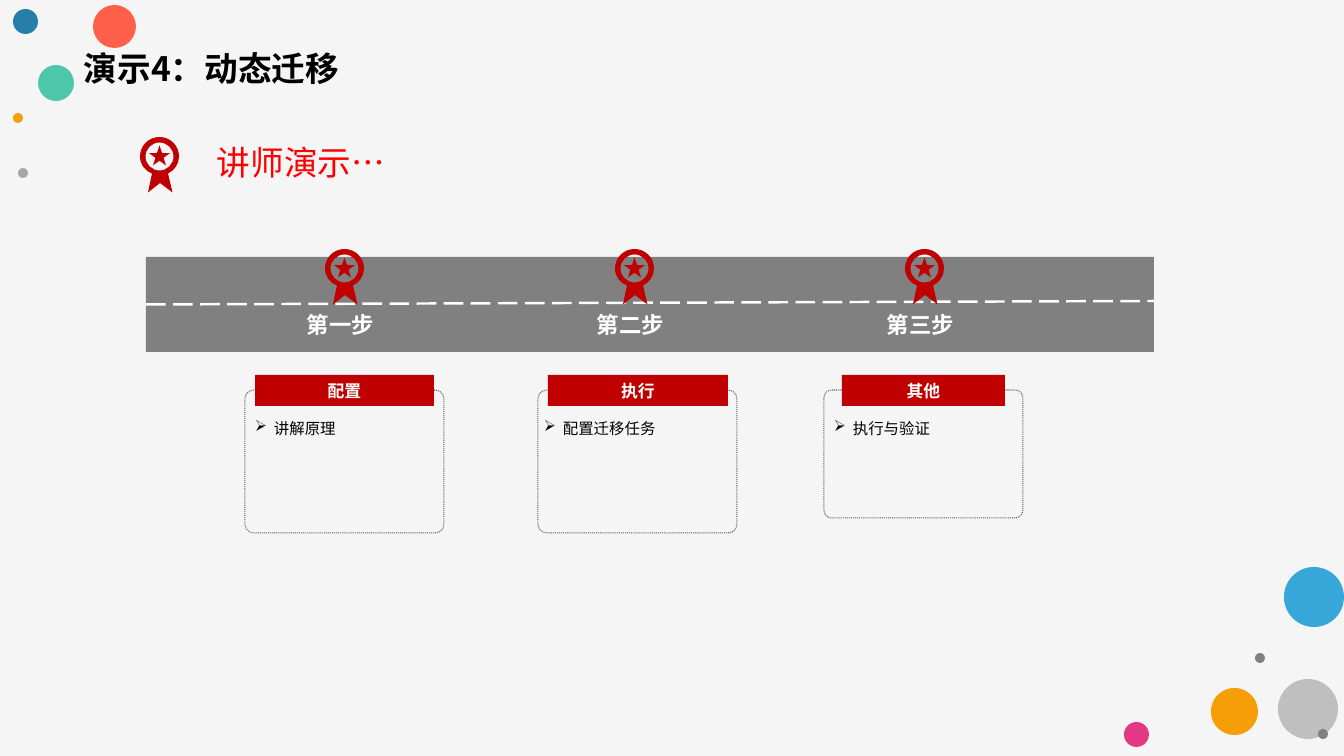
from math import cos, radians, sin

from lxml.etree import SubElement
from pptx import Presentation
from pptx.dml.color import RGBColor
from pptx.enum.dml import MSO_LINE as Dash
from pptx.enum.shapes import MSO_CONNECTOR as Connector, MSO_SHAPE as Shape
from pptx.enum.text import MSO_ANCHOR as Anchor, PP_ALIGN as Align
from pptx.oxml.ns import qn
from pptx.util import Emu, Pt

EMU_PER_PX = 914400 / 100.8
CJK_FONT = "Noto Sans CJK SC"
COLORS = {
    "page": "F5F5F5", "black": "000000", "white": "FFFFFF", "red": "FF0000",
    "crimson": "C00000", "road": "808080", "border": "595959",
    "green": "4CC7AA", "silver": "BFBFBF", "sky": "37A7D9", "coral": "FE604A",
    "orange": "F69E08", "pink": "E33884", "gray": "A6A6A6", "blue": "267FAB",
}
# left, top, diameter, colour
DOTS = [
    (38, 65, 36, "green"), (1278, 679, 60, "silver"), (1284, 567, 60, "sky"),
    (93, 5, 43, "coral"), (1211, 688, 47, "orange"), (1124, 722, 25, "pink"),
    (13, 113, 10, "orange"), (18, 168, 10, "gray"), (13, 9, 25, "blue"),
    (1318, 729, 10, "road"), (1255, 653, 10, "road"),
]
STEPS = ["第一步", "第二步", "第三步"]
STEP_GAP = 290
# heading, task, card left, card height, tab left, tab width, task left and width
CARDS = [
    ("配置", "讲解原理", 245, 143, 255, 179, 245, 216),
    ("执行", "配置迁移任务", 538, 143, 548, 180, 534, 199),
    ("其他", "执行与验证", 824, 128, 842, 163, 824, 230),
]
# Medal outline in px: one point is a straight side, three are a Bézier curve
RIM_START = (19.5, 0)
RIM = [
    [(30.3, 0), (39, 8.7), (39, 19.5)], [(39, 27), (34.5, 33.5), (28, 36.5)],
    [(32.5, 55.5)], [(20, 46)], [(8, 55.5)], [(12, 36.5)],
    [(5, 34), (0, 27.5), (0, 19.5)], [(0, 8.7), (8.7, 0), (19.5, 0)],
]


def px(length):
    return Emu(round(length * EMU_PER_PX))


def color(name):
    return RGBColor.from_string(COLORS[name])


def add_block(page, kind, left, top, width, height, fill=None):
    block = page.shapes.add_shape(kind, px(left), px(top), px(width), px(height))
    block.shadow.inherit = False
    block.line.fill.background()
    if fill:
        block.fill.solid()
        block.fill.fore_color.rgb = color(fill)
    else:
        block.fill.background()
    return block


def write(box, text, size, ink, bold=False, latin=CJK_FONT):
    box.text_frame.word_wrap = True
    para = box.text_frame.paragraphs[0]
    para.text = text
    font = para.font
    font.size, font.bold, font.name = Pt(size), bold, latin
    font.color.rgb = color(ink)
    defaults = para._p.pPr.find(qn("a:defRPr"))
    SubElement(defaults, qn("a:ea"), typeface=CJK_FONT)
    return para


def add_text(page, left, top, width, height, *style, **options):
    box = page.shapes.add_textbox(px(left), px(top), px(width), px(height))
    return write(box, *style, **options)


def add_bullet(para):
    para.line_spacing = 1.2
    props = para._p.get_or_add_pPr()
    props.set("marL", str(px(19)))
    props.set("indent", str(-px(19)))
    defaults = props.find(qn("a:defRPr"))
    defaults.addprevious(SubElement(props, qn("a:buFont"), typeface="OpenSymbol"))
    defaults.addprevious(SubElement(props, qn("a:buChar"), char="➢"))


def polar(center, radius, angle):
    return (center + radius * cos(radians(angle)),
            center + radius * sin(radians(angle)))


def star_contour(center, outer, inner):
    corners = [polar(center, inner if index % 2 else outer, 36 * index - 90)
               for index in range(10)]
    return corners[0], [[corner] for corner in corners[1:]]


def circle_contour(center, radius):
    reach = radius * 0.55
    curves = []
    for angle in range(0, 360, 90):
        c, s = cos(radians(angle)), sin(radians(angle))
        offsets = [(radius, reach), (reach, radius), (0, radius)]
        curves.append([(center + x * c - y * s, center + x * s + y * c)
                       for x, y in offsets])
    return (center + radius, center), curves


def add_medal(page, left, top):
    contours = [star_contour(19.5, 11, 4.3), circle_contour(19.5, 14),
                (RIM_START, RIM)]
    unit = 100  # freeform units per px
    builder = None
    for (x, y), segments in contours:
        if builder is None:
            builder = page.shapes.build_freeform(
                x * unit, y * unit, scale=EMU_PER_PX / unit)
        else:
            builder.move_to(x * unit, y * unit)
        builder.add_line_segments(
            [(x * unit, y * unit) for segment in segments for x, y in segment])
    medal = builder.convert_to_shape(px(left), px(top))

    # Merge the three points of each curve into one Bézier segment
    sides = iter(list(medal._element.iter(qn("a:lnTo"))))
    for _, segments in contours:
        for segment in segments:
            first, *others = [next(sides) for _ in segment]
            if others:
                first.tag = qn("a:cubicBezTo")
                for side in others:
                    first.append(side[0])
                    side.getparent().remove(side)

    medal.shadow.inherit = False
    medal.fill.solid()
    medal.fill.fore_color.rgb = color("crimson")
    medal.line.fill.background()


def add_road(page):
    road = add_block(page, Shape.RECTANGLE, 146, 257, 1008, 95, "road")
    lane = page.shapes.add_connector(
        Connector.STRAIGHT, px(146), px(304), px(1154), px(301))
    lane.begin_connect(road, 1)
    lane.line.color.rgb = color("white")
    lane.line.width = Pt(1.75)
    lane.line.dash_style = Dash.LONG_DASH
    SubElement(lane._element.spPr, qn("a:effectLst"))


def add_card(page, heading, task, left, height, tab_left, tab_width,
             task_left, task_width):
    card = add_block(page, Shape.ROUNDED_RECTANGLE, left, 390, 199, height)
    card.adjustments[0] = 0.06
    card.line.color.rgb = color("border")
    card.line.width = Pt(0.75)
    card.line.dash_style = Dash.ROUND_DOT

    tab = add_block(page, Shape.RECTANGLE, tab_left, 375, tab_width, 31, "crimson")
    tab.text_frame.vertical_anchor = Anchor.MIDDLE
    write(tab, heading, 12, "white", bold=True).alignment = Align.CENTER

    add_bullet(add_text(page, task_left, 410, task_width, 31, task, 11, "black"))


def main():
    deck = Presentation()
    deck.slide_width, deck.slide_height = px(1344), px(756)
    page = deck.slides.add_slide(deck.slide_layouts[6])
    page.background.fill.solid()
    page.background.fill.fore_color.rgb = color("page")

    # Decorative dots
    for left, top, size, fill in DOTS:
        add_block(page, Shape.OVAL, left, top, size, size, fill)

    # Title and subtitle
    add_text(page, 74, 43, 278, 50, "演示4：动态迁移", 24, "black", bold=True)
    add_medal(page, 140, 137)
    add_text(page, 207, 137, 995, 50, "讲师演示…", 24, "red", latin="Calibri")

    # Road with its steps
    add_road(page)
    for index, step in enumerate(STEPS):
        shift = index * STEP_GAP
        add_text(page, 297 + shift, 306, 92, 37, step, 16, "white", bold=True)
        add_medal(page, 325 + shift, 249)

    # Cards below the road
    for card in CARDS:
        add_card(page, *card)

    deck.save("out.pptx")


if __name__ == "__main__":
    main()
